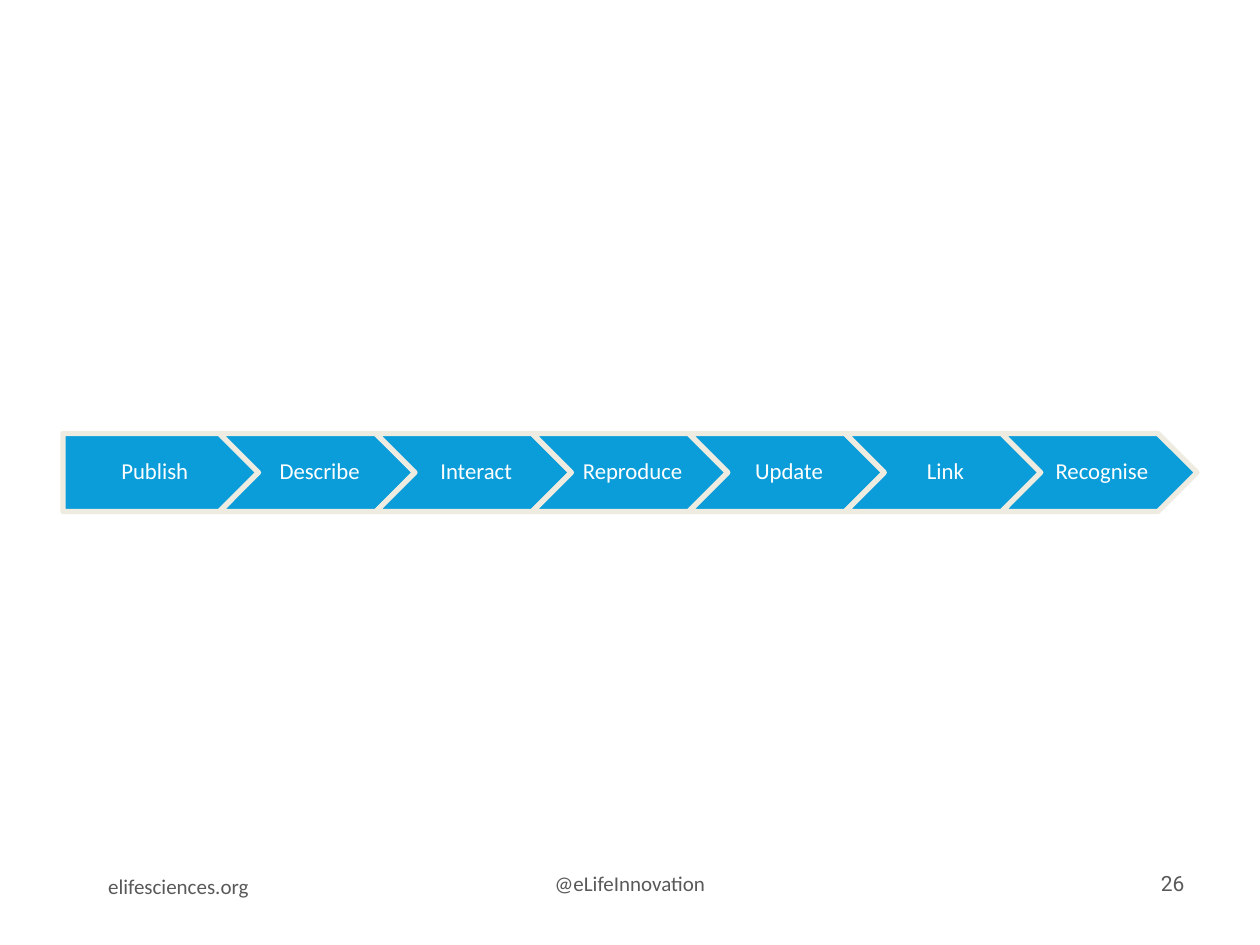
from lxml import etree
from pptx import Presentation
from pptx.dml.color import RGBColor
from pptx.enum.shapes import MSO_SHAPE
from pptx.enum.text import MSO_ANCHOR, PP_ALIGN
from pptx.oxml.ns import qn
from pptx.util import Pt

PX = 9144  # 100 px to the inch
LEFT, CENTER, RIGHT = PP_ALIGN.LEFT, PP_ALIGN.CENTER, PP_ALIGN.RIGHT
MIDDLE = MSO_ANCHOR.MIDDLE
PENTAGON, CHEVRON = MSO_SHAPE.PENTAGON, MSO_SHAPE.CHEVRON
COLORS = {"step": "0A9DD9", "outline": "EEECE1", "label": "FFFFFF", "footer": "595959"}


def write(shape, text, size=12, font="Calibri", color="footer", align=LEFT,
          insets=(10, 5, 10, 5), line_spacing=1.0):
    frame = shape.text_frame
    frame.word_wrap = True
    frame.vertical_anchor = MIDDLE
    frame.margin_left, frame.margin_top, frame.margin_right, frame.margin_bottom = (
        inset * PX for inset in insets)
    paragraph = frame.paragraphs[0]
    paragraph.alignment = align
    paragraph.line_spacing = line_spacing
    run = paragraph.add_run()
    run.text = text
    run.font.size = Pt(size)
    run.font.name = font
    run.font.color.rgb = RGBColor.from_string(COLORS[color])


prs = Presentation()
prs.slide_width, prs.slide_height = 1000 * PX, 750 * PX
slide = prs.slides.add_slide(prs.slide_layouts[6])

# Footer: handle, page number, site
for text, left, top, width, align, font in [
    ("@eLifeInnovation", 50, 681, 900, CENTER, "Calibri"),
    ("26", 717, 681, 233, RIGHT, "Roboto"),
    ("elifesciences.org", 76, 683, 416, LEFT, "Calibri"),
]:
    footer = slide.shapes.add_textbox(left * PX, top * PX, width * PX, 40 * PX)
    write(footer, text, align=align, font=font)

# Process steps: a pentagon, then chevrons spread evenly across the row
steps = ["Publish", "Describe", "Interact", "Reproduce", "Update", "Link", "Recognise"]
row_left, row_top, row_width = 50, 344, 900
step_width, step_height = 155, 62
pitch = (row_width - step_width) / (len(steps) - 1)

for i, label in enumerate(steps):
    step = slide.shapes.add_shape(
        CHEVRON if i else PENTAGON,
        round((row_left + i * pitch) * PX), row_top * PX, step_width * PX, step_height * PX)
    step.adjustments[0] = 0.5
    step.shadow.inherit = False
    step.fill.solid()
    step.fill.fore_color.rgb = RGBColor.from_string(COLORS["step"])
    step.line.color.rgb = RGBColor.from_string(COLORS["outline"])
    step.line.width = Pt(3)
    etree.SubElement(step.line._get_or_add_ln(), qn("a:round"))
    write(step, label, size=13, color="label", align=CENTER, line_spacing=0.9,
          insets=(6 if i else 8, 4, 2, 4))

prs.save("out.pptx")
